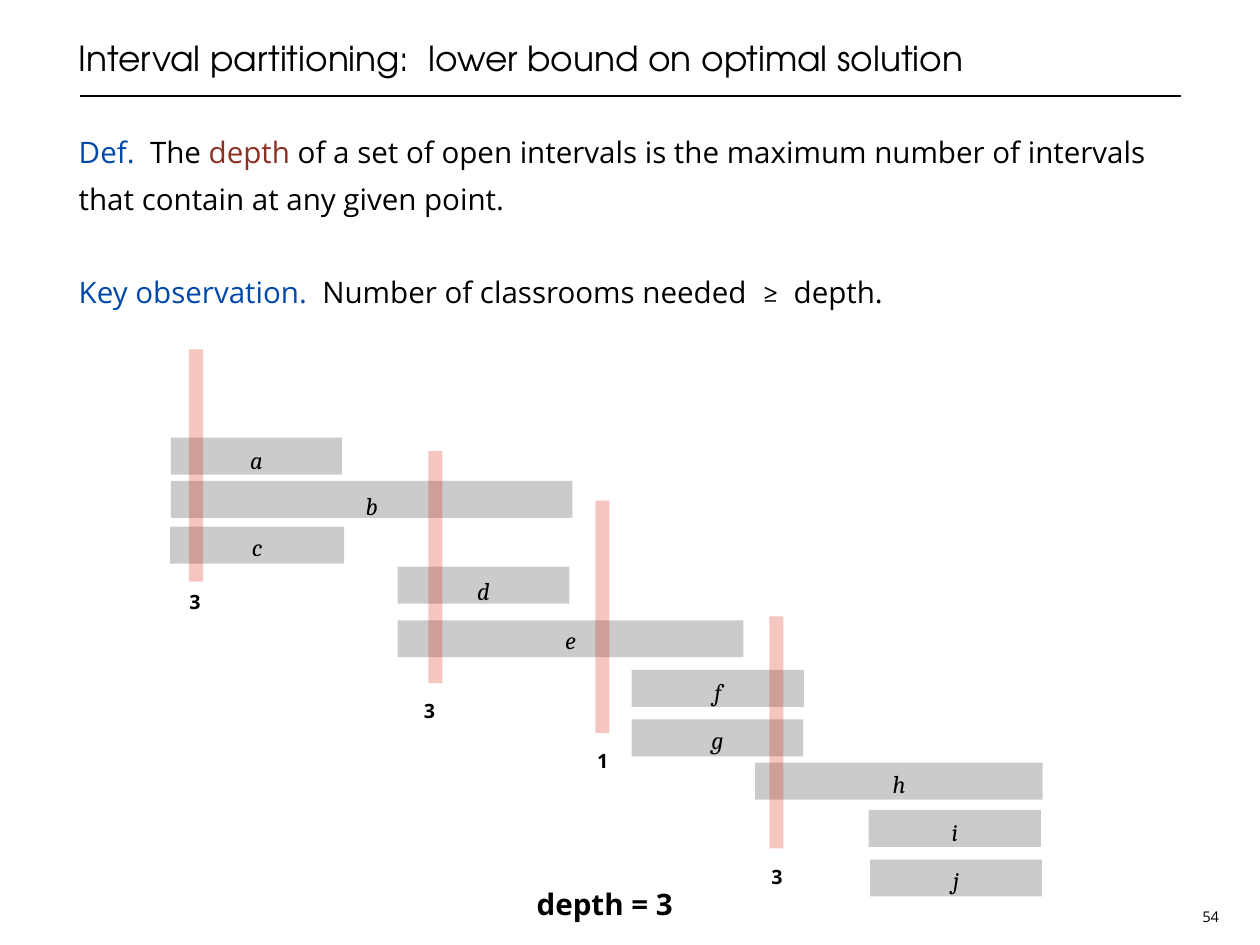
from lxml.etree import SubElement
from pptx import Presentation
from pptx.dml.color import RGBColor
from pptx.enum.shapes import MSO_CONNECTOR, MSO_SHAPE
from pptx.enum.text import MSO_ANCHOR, MSO_AUTO_SIZE, PP_ALIGN
from pptx.oxml.ns import qn
from pptx.util import Inches, Pt

COLORS = {"text": "000000", "term": "0048AA", "depth": "8D3124",
          "bar": "CBCBCB", "sweep": "D81E00"}
CELL = 14.22 / 16  # the slide is a grid of 16 columns and 12 rows
SANS, SERIF, TITLE = "Open Sans", "Cambria", "TeX Gyre Adventor"
BAR_H, LABEL_H = 0.47, 0.37
SWEEP_W, SWEEP_H = 0.18, 2.95

# name: left, top, width, drop of the label inside the bar
INTERVALS = {
    "a": (0.01, 1.12, 2.17, 0.04),
    "b": (0.01, 1.67, 5.10, 0.07),
    "c": (0, 2.25, 2.21, 0.02),
    "d": (2.89, 2.76, 2.18, 0.06),
    "e": (2.89, 3.44, 4.39, 0.01),
    "f": (5.86, 4.07, 2.19, 0.03),
    "g": (5.86, 4.70, 2.18, 0.01),
    "h": (7.43, 5.25, 3.65, 0.03),
    "i": (8.87, 5.85, 2.19, 0.04),
    "j": (8.89, 6.48, 2.18, 0.02),
}
# left, top, count, shift of the count from the sweep line's top left
SWEEPS = [
    (0.24, 0, "3", 0, 2.97),
    (3.28, 1.29, "3", -0.06, 3.06),
    (5.40, 1.92, "1", 0.02, 3.07),
    (7.61, 3.39, "3", 0.02, 3.07),
]


def cells(*values):
    return [Inches(v * CELL) for v in values]


def rgb(name):
    return RGBColor.from_string(COLORS[name])


def set_all(obj, **values):
    for name, value in values.items():
        setattr(obj, name, value)


def add_run(p, text, color="text", **font):
    r = p.add_run()
    r.text = text
    r.font.color.rgb = rgb(color)
    set_all(r.font, **font)


def set_frame(tf, inset=0, **values):
    margins = {f"margin_{side}": Inches(inset)
               for side in ("left", "top", "right", "bottom")}
    set_all(tf, **margins, **values)


def add_label(shapes, box, text, spacing=1.3, inset=0, anchor=MSO_ANCHOR.TOP, **font):
    tf = shapes.add_textbox(*cells(*box)).text_frame
    set_frame(tf, inset, word_wrap=False, vertical_anchor=anchor,
              auto_size=MSO_AUTO_SIZE.SHAPE_TO_FIT_TEXT)
    p = tf.paragraphs[0]
    set_all(p, alignment=PP_ALIGN.CENTER, line_spacing=spacing)
    add_run(p, text, **font)


def add_rect(shapes, box, color, alpha=None):
    sp = shapes.add_shape(MSO_SHAPE.RECTANGLE, *cells(*box))
    sp.shadow.inherit = False
    sp.fill.solid()
    sp.fill.fore_color.rgb = rgb(color)
    sp.line.fill.background()
    if alpha is not None:
        clr = sp.fill._xPr.find(qn("a:solidFill"))[0]
        SubElement(clr, qn("a:alpha")).set("val", str(alpha * 1000))


def place(sp, box):
    set_all(sp, **dict(zip(("left", "top", "width", "height"), cells(*box))))


def fill_title(s, box):
    x, y, w, h = box
    # Rule under the title
    rule = s.shapes.add_connector(MSO_CONNECTOR.STRAIGHT,
                                  *cells(x + 0.01, y + 1.22, x + w, y + 1.22))
    set_all(rule.line, width=Pt(1))
    rule.line.color.rgb = rgb("text")
    SubElement(rule._element.spPr, qn("a:effectLst"))
    # Title text
    sp = s.shapes.title
    place(sp, box)
    set_frame(sp.text_frame, word_wrap=True, vertical_anchor=MSO_ANCHOR.BOTTOM,
              auto_size=MSO_AUTO_SIZE.NONE)
    p = sp.text_frame.paragraphs[0]
    set_all(p, alignment=PP_ALIGN.LEFT, line_spacing=Pt(38))
    add_run(p, "Interval partitioning:  lower bound on optimal solution",
            name=TITLE, size=Pt(28))


def fill_body(s, box):
    sp = s.placeholders[1]
    place(sp, box)
    tf = sp.text_frame
    set_frame(tf, word_wrap=True, auto_size=MSO_AUTO_SIZE.NONE)
    statements = [
        [("Def.  ", "term", SANS), ("The ", "text", SANS), ("depth", "depth", SANS),
         (" of a set of open intervals is the maximum number of intervals "
          "that contain at any given point.", "text", SANS)],
        [("Key observation.  ", "term", SANS),
         ("Number of classrooms needed  ", "text", SANS),
         ("≥", "text", SERIF), ("  depth.", "text", SANS)],
    ]
    for i, runs in enumerate(statements):
        p = tf.add_paragraph() if i else tf.paragraphs[0]
        set_all(p, line_spacing=Pt(38), space_before=Pt(38 * i), space_after=Pt(0))
        pPr = p._p.get_or_add_pPr()
        pPr.set("marL", "0")
        pPr.set("indent", "0")
        SubElement(pPr, qn("a:buNone"))
        for text, color, font in runs:
            add_run(p, text, color, name=font, size=Pt(24))


def draw_timeline(s, box):
    x, y, w, h = box
    # Intervals, each grouped with its name
    for name, (left, top, width, drop) in INTERVALS.items():
        shapes = s.shapes.add_group_shape().shapes
        add_rect(shapes, (x + left, y + top, width, BAR_H), "bar")
        add_label(shapes, (x + left + width / 2 - 0.08, y + top + drop, 0.16, LABEL_H),
                  name, anchor=MSO_ANCHOR.MIDDLE,
                  name=SERIF, size=Pt(20), italic=True)
    # Sweep lines with the number of intervals they cross
    for left, top, count, dx, dy in SWEEPS:
        add_rect(s.shapes, (x + left, y + top, SWEEP_W, SWEEP_H), "sweep", 25)
        add_label(s.shapes, (x + left + dx, y + top + dy, 0.15, 0.35), count,
                  name=SANS, size=Pt(16), bold=True)
    # Result at the foot of the box
    add_label(s.shapes, (x + 0.42 * w, y + h - 0.53, 1.74, 0.53), "depth = 3",
              name=SANS, size=Pt(24), bold=True)


def main():
    prs = Presentation()
    set_all(prs, slide_width=Inches(14.22), slide_height=Inches(10.67))
    s = prs.slides.add_slide(prs.slide_layouts[1])
    fill_title(s, (1, 0, 14, 1))
    fill_body(s, (1, 1.56, 14, 10.06))
    # Page number
    add_label(s.shapes, (15.2, 11.5, 0.35, 0.27), "54", spacing=Pt(14), inset=0.04,
              name=SANS, size=Pt(12))
    draw_timeline(s, (2.16, 4.44, 11.07, 7.21))
    prs.save("out.pptx")


if __name__ == "__main__":
    main()
